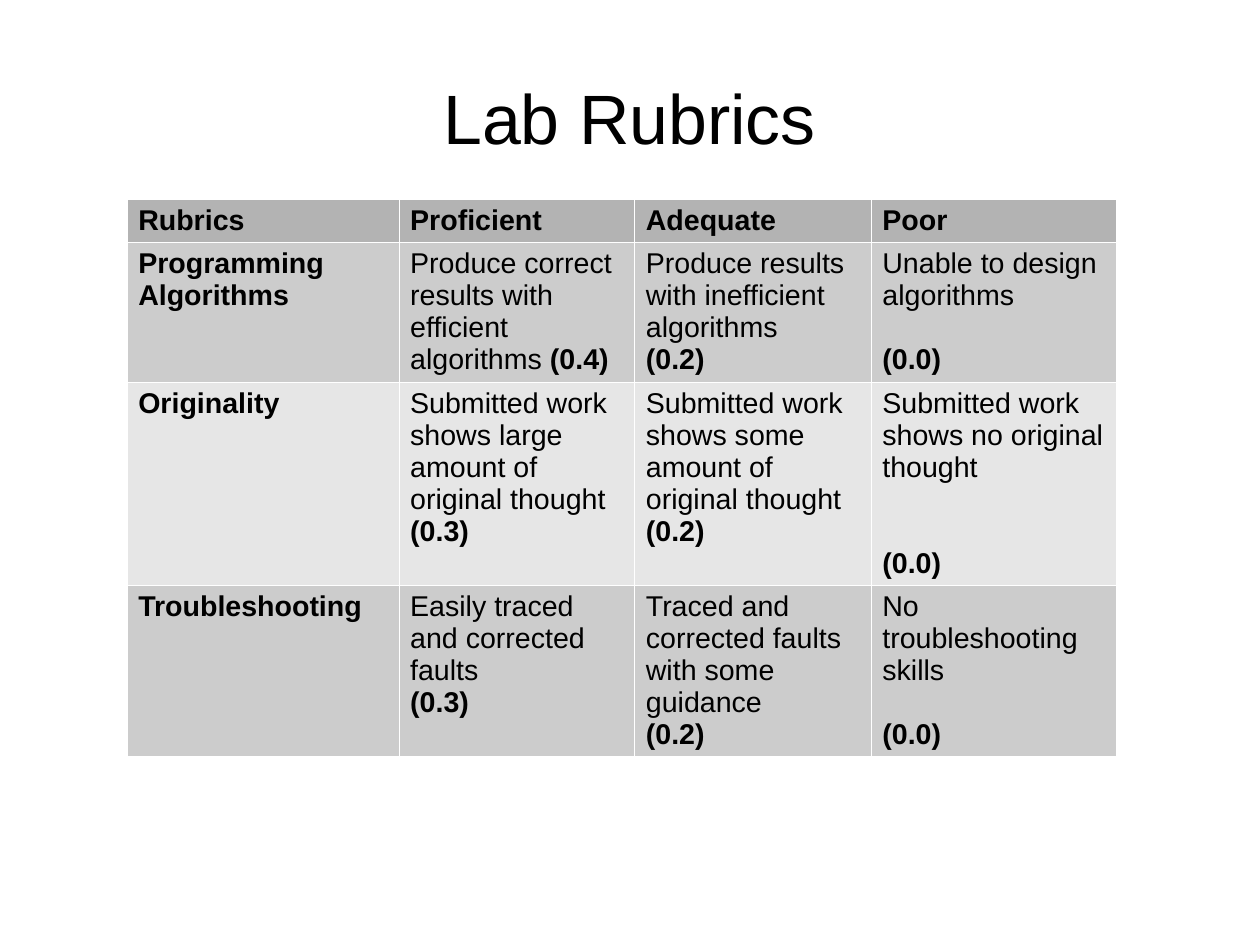
from lxml.etree import SubElement
from pptx import Presentation
from pptx.dml.color import RGBColor
from pptx.enum.text import MSO_ANCHOR as Anchor, PP_ALIGN as Align
from pptx.oxml.ns import qn
from pptx.util import Pt

HEADINGS = ["Rubrics", "Proficient", "Adequate", "Poor"]
LINE = 20.15  # height of one text line, in points

# Each grade: description, score, space before the score (None keeps it inline)
CRITERIA = [
    ("Programming Algorithms", [
        ("Produce correct results with efficient algorithms ", "(0.4)", None),
        ("Produce results with inefficient algorithms", "(0.2)", 0),
        ("Unable to design algorithms", "(0.0)", LINE)]),
    ("Originality", [
        ("Submitted work shows large amount of original thought", "(0.3)", 0),
        ("Submitted work shows some amount of original thought", "(0.2)", 0),
        ("Submitted work shows no original thought", "(0.0)", 2 * LINE)]),
    ("Troubleshooting", [
        ("Easily traced and corrected faults", "(0.3)", 0),
        ("Traced and corrected faults with some guidance", "(0.2)", 0),
        ("No troubleshooting skills", "(0.0)", LINE)]),
]
COLUMN_WIDTHS = [171.3, 148.5, 149, 154.2]
ROW_HEIGHTS = [27.3, 87.8, 128.1, 108]
ROW_FILLS = ["B3B3B3", "CCCCCC", "E6E6E6", "CCCCCC"]


def color(hex_string):
    return RGBColor.from_string(hex_string)


def add_span(para, text, size, bold):
    span = para.add_run()
    span.text = text
    font_format = {"name": "Arial", "size": Pt(size), "bold": bold}
    for name, value in font_format.items():
        setattr(span.font, name, value)
    span.font.color.rgb = color("000000")


# Slide
deck = Presentation()
deck.slide_width, deck.slide_height = Pt(793.75), Pt(595.25)
page = deck.slides.add_slide(deck.slide_layouts[5])

# Title
title = page.shapes.title
title_box = {"left": 39.6, "top": 23.8, "width": 714.2, "height": 99.4}
for name, value in title_box.items():
    setattr(title, name, Pt(value))
title_frame = title.text_frame
frame_format = {"margin_left": 0, "margin_top": 0, "margin_right": 0,
                "margin_bottom": 0, "vertical_anchor": Anchor.MIDDLE,
                "word_wrap": True}
for name, value in frame_format.items():
    setattr(title_frame, name, value)
title_para = title_frame.paragraphs[0]
title_para.alignment = Align.CENTER
add_span(title_para, "Lab Rubrics", 44, False)

# Table grid
table = page.shapes.add_table(
    len(ROW_HEIGHTS), len(COLUMN_WIDTHS), Pt(79.9), Pt(125.2),
    Pt(sum(COLUMN_WIDTHS)), Pt(sum(ROW_HEIGHTS))).table
for column, width in zip(table.columns, COLUMN_WIDTHS):
    column.width = Pt(width)
for row, height, fill in zip(table.rows, ROW_HEIGHTS, ROW_FILLS):
    row.height = Pt(height)
    for cell in row.cells:
        # Thin white borders go before the fill in the cell properties
        properties = cell._tc.get_or_add_tcPr()
        for side in ("a:lnL", "a:lnR", "a:lnT", "a:lnB"):
            border = SubElement(properties, qn(side), w=str(Pt(0.06)))
            paint = SubElement(border, qn("a:solidFill"))
            SubElement(paint, qn("a:srgbClr"), val="FFFFFF")
        cell.fill.solid()
        cell.fill.fore_color.rgb = color(fill)

# Column headings
for index, heading in enumerate(HEADINGS):
    para = table.cell(0, index).text_frame.paragraphs[0]
    add_span(para, heading, 18, True)

# Criteria with their grades
for row_index, (criterion, grades) in enumerate(CRITERIA, start=1):
    para = table.cell(row_index, 0).text_frame.paragraphs[0]
    add_span(para, criterion, 18, True)
    for column_index, (description, score, gap) in enumerate(grades, start=1):
        frame = table.cell(row_index, column_index).text_frame
        para = frame.paragraphs[0]
        add_span(para, description, 18, False)
        if gap is not None:
            para = frame.add_paragraph()
            para.space_before = Pt(gap)
        add_span(para, score, 18, True)

deck.save("out.pptx")
